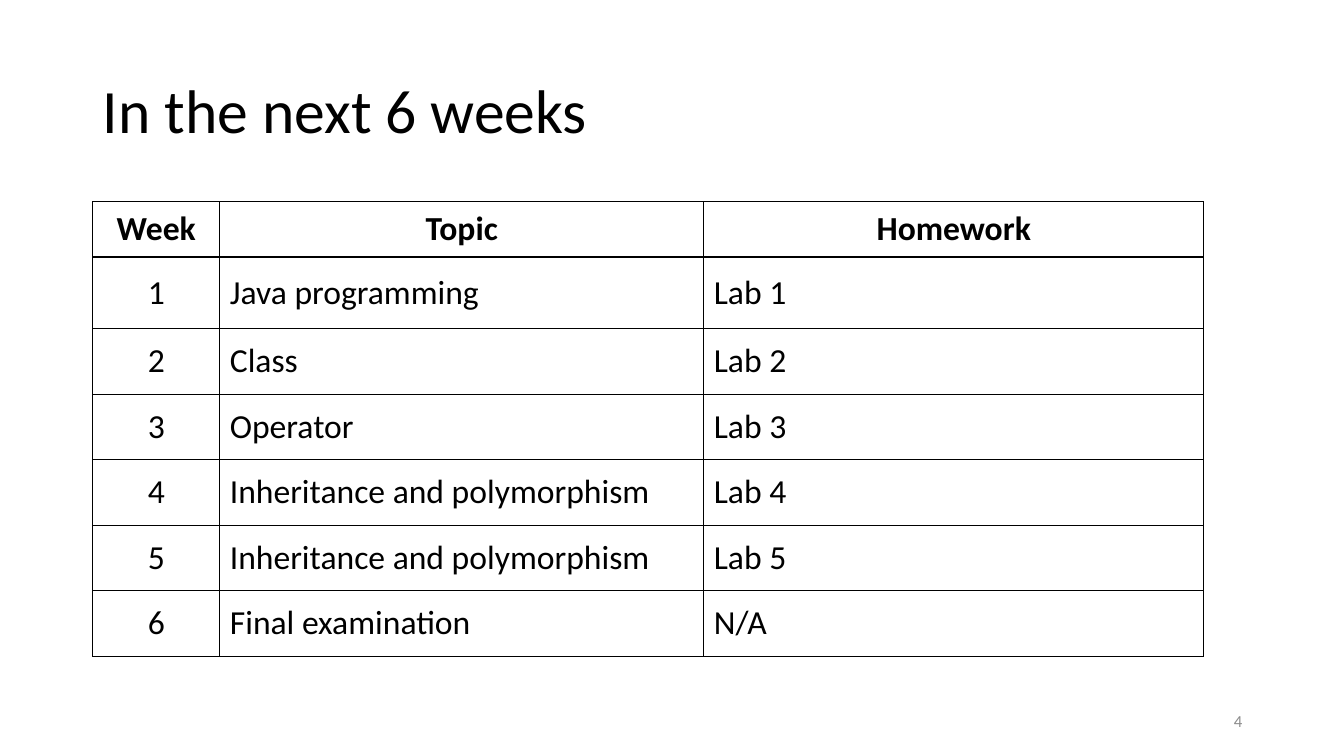
import pptx
import pptx.util
import pptx.dml.color
import pptx.enum.text
import pptx.oxml
import pptx.oxml.ns

Inches = pptx.util.Inches
ALIGN = pptx.enum.text.PP_ALIGN
MIDDLE = pptx.enum.text.MSO_ANCHOR.MIDDLE
FONT = "Calibri"
BLACK = "000000"
GREY = "8C8C8C"
HEADS = ["Week", "Topic", "Homework"]
WEEKS = [
    ("Java programming", "Lab 1"),
    ("Class", "Lab 2"),
    ("Operator", "Lab 3"),
    ("Inheritance and polymorphism", "Lab 4"),
    ("Inheritance and polymorphism", "Lab 5"),
    ("Final examination", "N/A"),
]
WIDTHS = [1.26, 4.8, 4.96]
HEIGHTS = [0.55, 0.71] + [0.65] * 5


def paint(color, tone):
    """Set a colour from a hex string."""
    color.rgb = pptx.dml.color.RGBColor.from_string(tone)


def style(frame, size, tone, align, bold=False):
    """Format the only paragraph of a text frame."""
    para = frame.paragraphs[0]
    para.alignment = align
    for run in para.runs:
        run.font.name = FONT
        run.font.size = pptx.util.Pt(size)
        run.font.bold = bold
        paint(run.font.color, tone)


def place(shape, left, top, width, height):
    """Move and size a shape, in inches."""
    shape.left, shape.top = Inches(left), Inches(top)
    shape.width, shape.height = Inches(width), Inches(height)


def add_title(slide, text):
    """Fill the title placeholder."""
    title = slide.shapes.title
    place(title, 0.92, 0.4, 11.5, 1.45)
    frame = title.text_frame
    frame.text = text
    frame.word_wrap = True
    frame.vertical_anchor = MIDDLE
    frame.paragraphs[0].line_spacing = 0.9
    style(frame, 44, BLACK, ALIGN.LEFT)


def add_number(slide, text):
    """Put the page number at the lower right."""
    box = slide.shapes.add_textbox(
        Inches(9.42), Inches(6.95), Inches(3), Inches(0.4))
    frame = box.text_frame
    frame.text = text
    frame.word_wrap = True
    frame.vertical_anchor = MIDDLE
    style(frame, 12, GREY, ALIGN.RIGHT)


def outline(cell, tone):
    """Draw a one point line on each side of a cell."""
    props = cell._tc.get_or_add_tcPr()
    for side in ("lnL", "lnR", "lnT", "lnB"):
        props.append(pptx.oxml.parse_xml(
            f'<a:{side} {pptx.oxml.ns.nsdecls("a")} w="12700"><a:solidFill>'
            f'<a:srgbClr val="{tone}"/></a:solidFill></a:{side}>'))


def fill_cell(cell, text, align, bold):
    """Write and format one table cell."""
    outline(cell, BLACK)
    cell.fill.background()
    cell.vertical_anchor = MIDDLE
    cell.text_frame.text = text
    style(cell.text_frame, 24, BLACK, align, bold)


def add_plan(slide):
    """Build the table of weeks."""
    rows = [HEADS] + [[str(n), *week] for n, week in enumerate(WEEKS, 1)]
    table = slide.shapes.add_table(
        len(rows), len(HEADS), Inches(0.92), Inches(2),
        Inches(sum(WIDTHS)), Inches(sum(HEIGHTS))).table
    table.horz_banding = False
    for col, width in zip(table.columns, WIDTHS):
        col.width = Inches(width)
    for row, height in zip(table.rows, HEIGHTS):
        row.height = Inches(height)
    for r, row in enumerate(rows):
        for c, text in enumerate(row):
            head = r == 0
            align = ALIGN.CENTER if head or c == 0 else ALIGN.LEFT
            fill_cell(table.cell(r, c), text, align, head)


def main():
    """Build and save the slide."""
    deck = pptx.Presentation()
    deck.slide_width, deck.slide_height = Inches(13.33), Inches(7.5)
    slide = deck.slides.add_slide(deck.slide_layouts[5])
    add_title(slide, "In the next 6 weeks")
    add_plan(slide)
    add_number(slide, "4")
    deck.save("out.pptx")


if __name__ == "__main__":
    main()
